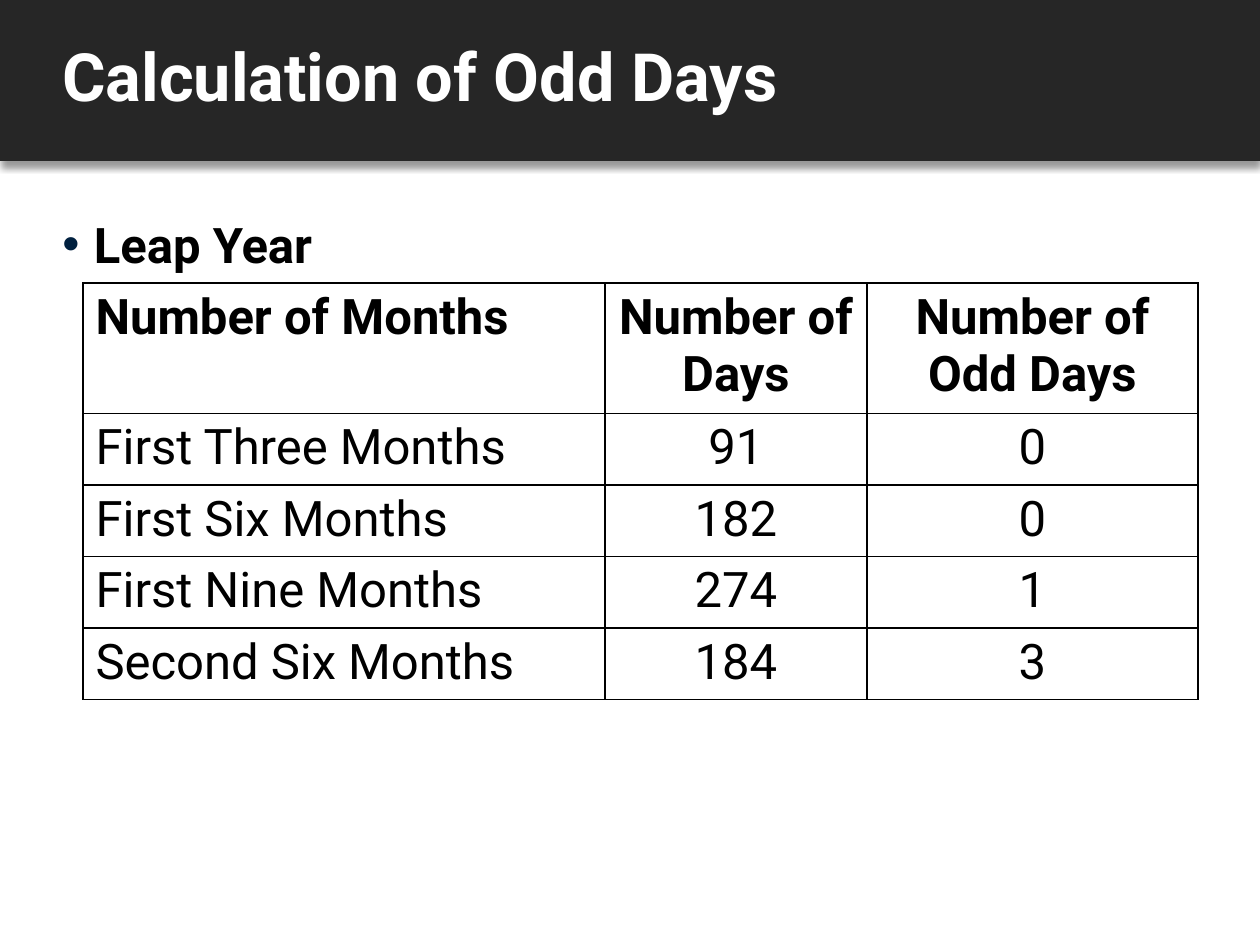
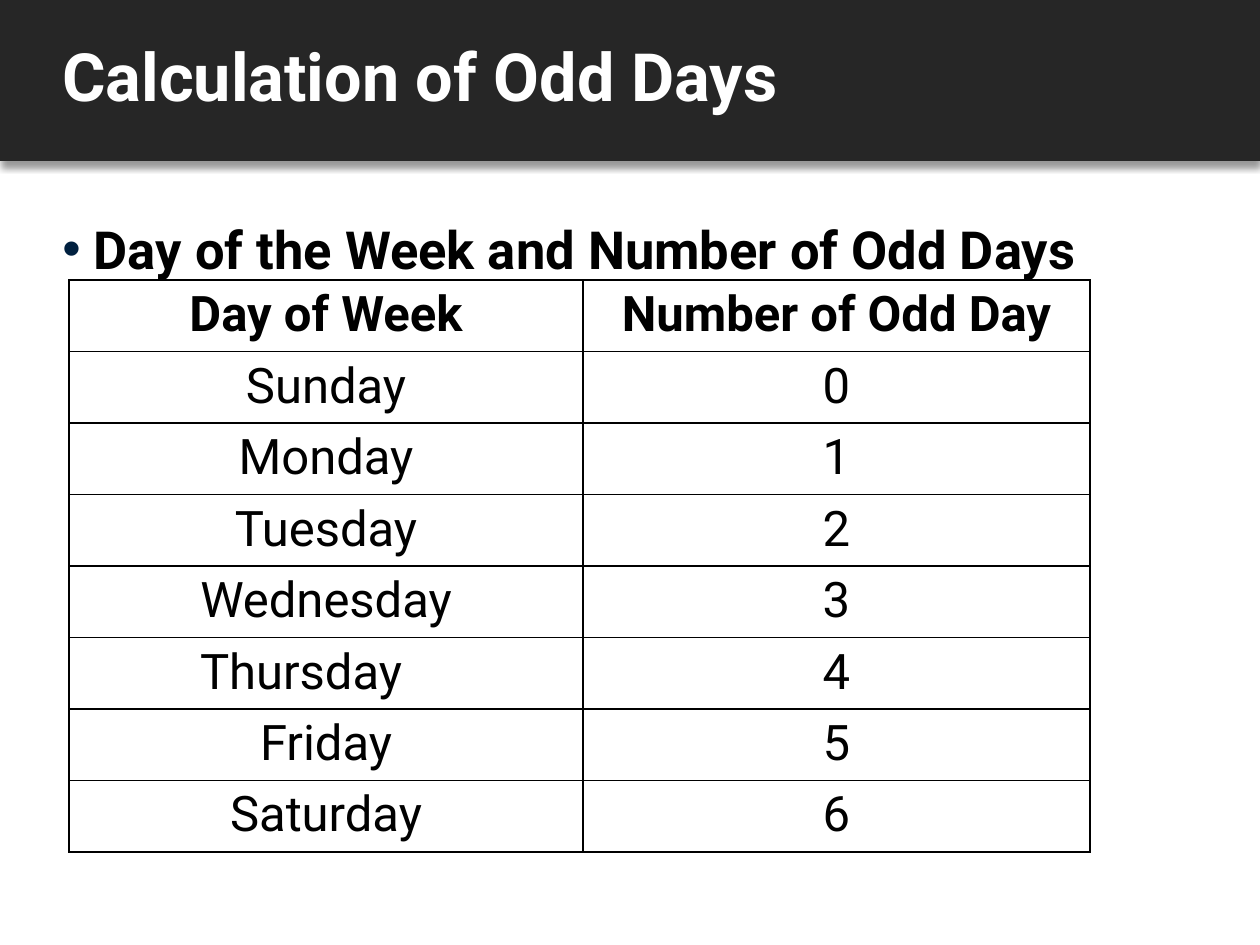
from dataclasses import dataclass
from typing import Any

from lxml.etree import SubElement as Sub
from pptx import Presentation
from pptx.dml.color import RGBColor as Rgb
from pptx.enum.shapes import MSO_SHAPE as Shape
from pptx.enum.text import MSO_ANCHOR as Anchor, PP_ALIGN as Align
from pptx.oxml import parse_xml as from_xml
from pptx.oxml.ns import nsdecls, qn
from pptx.util import Emu, Pt

DPI = 126


@dataclass(frozen=True)
class Theme:
    font: str = "Roboto"
    band: str = "262626"
    white: str = "FFFFFF"
    ink: str = "000000"
    dot: str = "00203F"
    title: int = 38
    cell: int = 28
    rule: int = 1


@dataclass(frozen=True)
class Box:
    left: int
    top: int
    width: int
    height: int


@dataclass(frozen=True)
class Grid:
    left: int
    top: int
    cols: tuple[int, ...]
    head: int
    rows: tuple[tuple[str, ...], ...]
    first: Align = Align.CENTER


@dataclass(frozen=True)
class Page:
    point: str
    size: int
    grid: Grid


THEME = Theme()
WIDE, HIGH, ROW = 1260, 945, 70
BAND = Box(0, 0, WIDE, 161)
TITLE = Box(50, 0, 1210, 161)
BODY = Box(50, 179, 1183, 745)
HEAD = "Calculation of Odd Days"

PAGES = (
    Page("Leap Year", 28, Grid(
        83, 283, (522, 262, 331), 127,
        (
            ("Number of Months", "Number of Days", "Number of Odd Days"),
            ("First Three Months", "91", "0"),
            ("First Six Months", "182", "0"),
            ("First Nine Months", "274", "1"),
            ("Second Six Months", "184", "3"),
        ),
        Align.LEFT,
    )),
    Page("Day of the Week and Number of Odd Days", 30, Grid(
        69, 280, (514, 507), ROW,
        (
            ("Day of Week", "Number of Odd Day"),
            ("Sunday", "0"),
            ("Monday", "1"),
            ("Tuesday", "2"),
            ("Wednesday", "3"),
            ("Thursday\t", "4"),
            ("Friday", "5"),
            ("Saturday", "6"),
        ),
    )),
)


def px(size: int) -> Emu:
    return Emu(round(size * 914400 / DPI))


def place(box: Box) -> tuple[Emu, ...]:
    return px(box.left), px(box.top), px(box.width), px(box.height)


def style(para: Any, size: int, tint: str, bold: bool) -> None:
    font = para.font
    font.name = THEME.font
    font.size = Pt(size)
    font.bold = bold
    font.color.rgb = Rgb.from_string(tint)


def add_text(slide: Any, box: Box, text: str, anchor: Anchor) -> Any:
    frame = slide.shapes.add_textbox(*place(box)).text_frame
    frame.word_wrap = True
    frame.vertical_anchor = anchor
    para = frame.paragraphs[0]
    para.text = text
    return para


def add_band(slide: Any) -> None:
    band = slide.shapes.add_shape(Shape.RECTANGLE, *place(BAND))
    band.fill.solid()
    band.fill.fore_color.rgb = Rgb.from_string(THEME.band)
    band.line.fill.background()
    band.shadow.inherit = False
    glow = band.element.spPr.find(qn("a:effectLst"))
    glow.append(from_xml(
        f'<a:outerShdw {nsdecls("a")} blurRad="{Pt(4)}" dist="{Pt(3)}" '
        'dir="5400000" algn="t" rotWithShape="0">'
        f'<a:srgbClr val="{THEME.ink}"><a:alpha val="40000"/></a:srgbClr>'
        '</a:outerShdw>'
    ))


def add_title(slide: Any) -> None:
    para = add_text(slide, TITLE, HEAD, Anchor.MIDDLE)
    para.line_spacing = 0.9
    para.space_after = Pt(6)
    style(para, THEME.title, THEME.white, True)


def add_point(slide: Any, text: str, size: int) -> None:
    para = add_text(slide, BODY, text, Anchor.TOP)
    props = para._p.get_or_add_pPr()
    props.set("marL", "228600")
    props.set("indent", "-228600")
    Sub(Sub(props, qn("a:buClr")), qn("a:srgbClr"), val=THEME.dot)
    Sub(props, qn("a:buFont"), typeface="Arial")
    Sub(props, qn("a:buChar"), char="•")
    para.alignment = Align.JUSTIFY
    para.line_spacing = 1.5
    para.space_after = Pt(6)
    style(para, size, THEME.ink, True)


def add_rules(cell: Any) -> None:
    props = cell._tc.get_or_add_tcPr()
    for spot, side in enumerate("LRTB"):
        props.insert(spot, from_xml(
            f'<a:ln{side} {nsdecls("a")} w="{Pt(THEME.rule)}"><a:solidFill>'
            f'<a:srgbClr val="{THEME.ink}"/></a:solidFill></a:ln{side}>'
        ))


def add_grid(slide: Any, grid: Grid) -> None:
    highs = [grid.head] + [ROW] * (len(grid.rows) - 1)
    box = Box(grid.left, grid.top, sum(grid.cols), sum(highs))
    table = slide.shapes.add_table(
        len(grid.rows), len(grid.cols), *place(box)).table
    table.first_row = table.horz_banding = False
    for col, width in zip(table.columns, grid.cols):
        col.width = px(width)
    for row, high in zip(table.rows, highs):
        row.height = px(high)
    for r, texts in enumerate(grid.rows):
        for c, text in enumerate(texts):
            cell = table.cell(r, c)
            cell.fill.solid()
            cell.fill.fore_color.rgb = Rgb.from_string(THEME.white)
            add_rules(cell)
            cell.text = text
            para = cell.text_frame.paragraphs[0]
            para.alignment = Align.CENTER if c else grid.first
            style(para, THEME.cell, THEME.ink, r == 0)


def main() -> None:
    deck = Presentation()
    deck.slide_width, deck.slide_height = px(WIDE), px(HIGH)
    for page in PAGES:
        slide = deck.slides.add_slide(deck.slide_layouts[6])
        add_band(slide)
        add_title(slide)
        add_point(slide, page.point, page.size)
        add_grid(slide, page.grid)
    deck.save("out.pptx")


if __name__ == "__main__":
    main()
